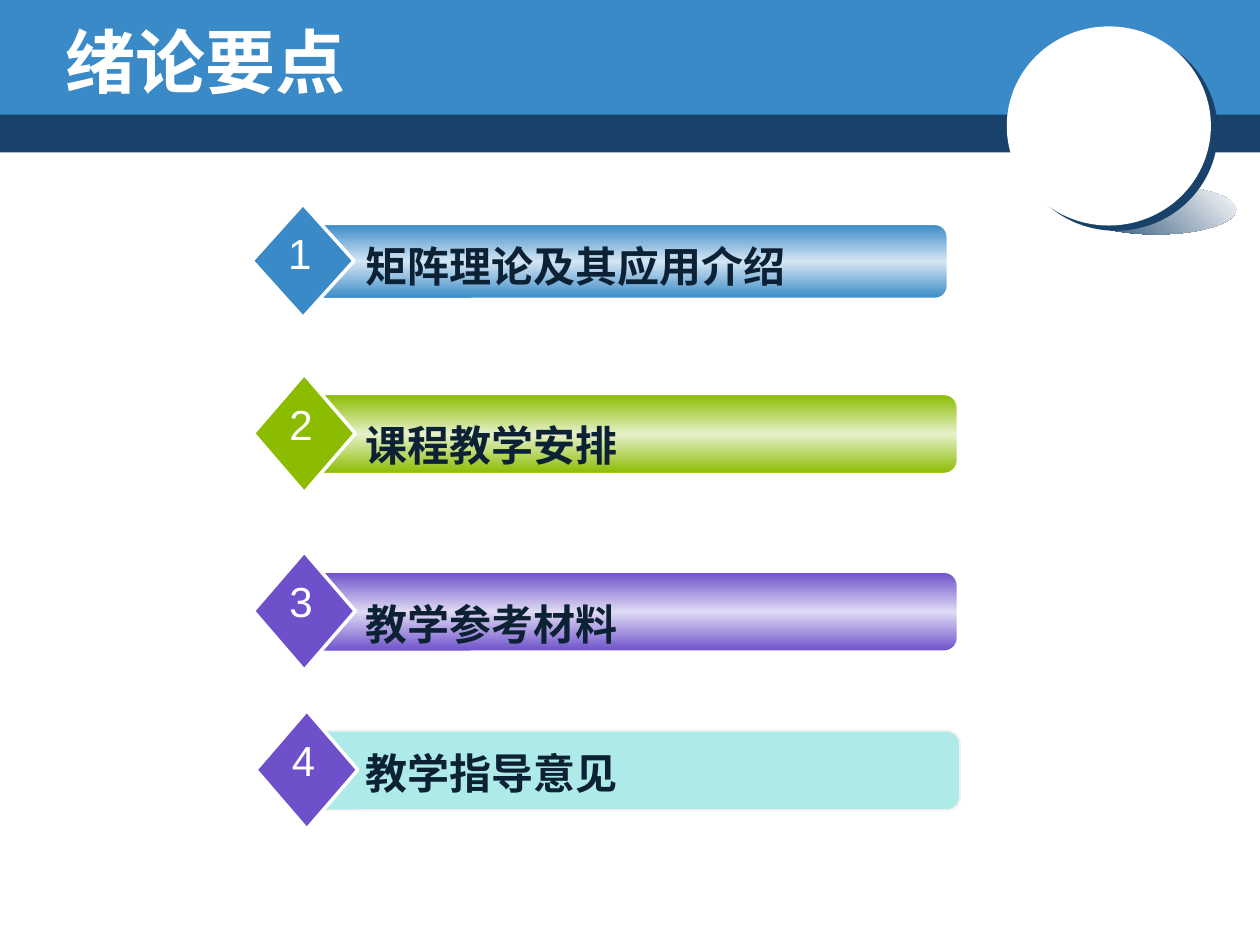
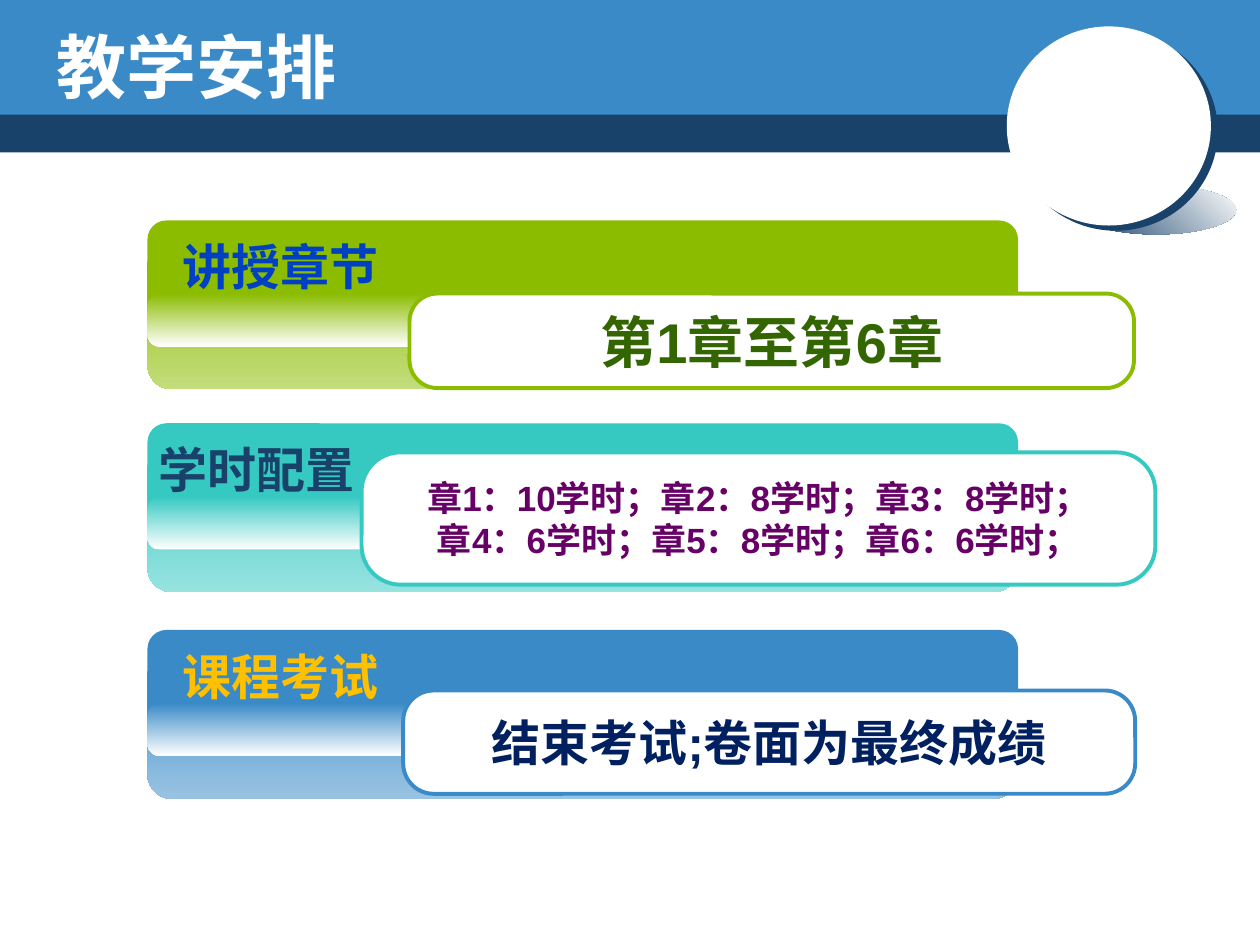
from lxml import etree
from pptx import Presentation
from pptx.dml.color import RGBColor
from pptx.enum import shapes, text
from pptx.oxml.ns import qn
from pptx.util import Inches, Pt

BLUE, NAVY, WHITE = "398AC7", "19426B", "FFFFFF"
GREEN, TEAL, PURPLE = "8BBC00", "35C9C2", "6D50CA"
PALE_TEAL, PALE_GRAY, INK = "AEEAE7", "F2F2F2", "0D2135"

TOPICS = [
    ("矩阵理论及其应用介绍", 2.45, 1.78, 5.07, 0.59, 1.86, BLUE, [BLUE, "D5E6F3", BLUE], WHITE),
    ("课程教学安排", 2.46, 3.13, 5.14, 0.63, 3.28, GREEN, [GREEN, "E6F1C9", GREEN], WHITE),
    ("教学参考材料", 2.46, 4.54, 5.14, 0.63, 4.7, PURPLE, [PURPLE, "E0DAF4", PURPLE], WHITE),
    ("教学指导意见", 2.48, 5.8, 5.14, 0.63, 5.88, PURPLE, [PALE_TEAL], PALE_GRAY),
]

PANELS = [
    (1.75, GREEN, "C3DD7C"),
    (3.36, TEAL, "97E3E0"),
    (5.0, BLUE, "99C3E2"),
]
HEADINGS = [
    ("讲授章节", 1.35, "0041C4"),
    ("学时配置", 1.16, NAVY),
    ("课程考试", 1.35, "FFC000"),
]
DETAILS = [
    ("第1章至第6章", (3.25, 2.33, 5.75, 0.75), 32, "336600"),
    ("章1：10学时；章2：8学时；章3：8学时；\n章4：6学时；章5：8学时；章6：6学时；",
     (2.87, 3.59, 6.3, 1.05), 20, "660066"),
    ("结束考试;卷面为最终成绩", (3.2, 5.48, 5.81, 0.82), 28, "002060"),
]


def rgb(value):
    return RGBColor.from_string(value)


def inches(place):
    return [Inches(length) for length in place]


class Lecture:
    font = "Arial"
    title_font = "DejaVu Sans"

    def __init__(self):
        self.deck = Presentation()
        self.deck.slide_width, self.deck.slide_height = Inches(10), Inches(7.5)
        self.layout = self.deck.slide_layouts[5]
        self.page = None

    def add_page(self, title, left, top):
        self.page = self.deck.slides.add_slide(self.layout)
        box = self.page.shapes.title
        box.left, box.top, box.width, box.height = inches((left, top, 8.08, 0.62))
        self.set_words(box, title, 40, WHITE, font=self.title_font, bold=True,
                       anchor=text.MSO_ANCHOR.MIDDLE)

    def set_words(self, box, words, size, color, font=None, bold=False, wrap=True,
                  align=text.PP_ALIGN.LEFT, anchor=text.MSO_ANCHOR.TOP):
        frame = box.text_frame
        frame.text = words
        frame.word_wrap = wrap
        frame.auto_size = text.MSO_AUTO_SIZE.NONE
        frame.vertical_anchor = anchor
        for para in frame.paragraphs:
            para.alignment = align
            for span in para.runs:
                span.font.name = font or self.font
                span.font.size = Pt(size)
                span.font.bold = bold
                span.font.color.rgb = rgb(color)

    def label(self, words, place, size, color, **style):
        box = self.page.shapes.add_textbox(*inches(place))
        self.set_words(box, words, size, color, **style)

    def shape(self, kind, place, colors, angle=270, line=None, width=1, corner=None):
        shape = self.page.shapes.add_shape(kind, *inches(place))
        shape.shadow.inherit = False
        if corner is not None:
            shape.adjustments[0] = corner
        if len(colors) == 1:
            shape.fill.solid()
            shape.fill.fore_color.rgb = rgb(colors[0])
        else:
            self.blend(shape, colors, angle)
        if line:
            shape.line.color.rgb = rgb(line)
            shape.line.width = Pt(width)
        else:
            shape.line.fill.background()
        return shape

    def rounded(self, place, colors, corner=0.167, **style):
        return self.shape(shapes.MSO_SHAPE.ROUNDED_RECTANGLE, place, colors,
                          corner=corner, **style)

    def blend(self, shape, colors, angle):
        shape.fill.gradient()
        shape.fill.gradient_angle = angle
        stops = next(shape._element.iter(qn("a:gsLst")))
        for stop in list(stops):
            stops.remove(stop)
        for index, color in enumerate(colors):
            position = 100000 * index // (len(colors) - 1)
            stop = etree.SubElement(stops, qn("a:gs"), pos=str(position))
            etree.SubElement(stop, qn("a:srgbClr"), val=color)

    def cast_shadow(self, shape, color, distance, degrees):
        effects = next(shape._element.iter(qn("a:effectLst")))
        shadow = etree.SubElement(effects, qn("a:outerShdw"), blurRad="0",
                                  dist=str(Pt(distance)), dir=str(degrees * 60000),
                                  algn="ctr", rotWithShape="0")
        etree.SubElement(shadow, qn("a:srgbClr"), val=color)

    def move_to_layout(self, items):
        tree = self.layout.shapes._spTree
        for index, item in enumerate(items):
            next(item._element.iter(qn("p:cNvPr"))).set("id", str(100 + index))
            tree.insert(2 + index, item._element)

    def add_header(self):
        stripe = self.shape(shapes.MSO_SHAPE.RECTANGLE, (0, 0.87, 10, 0.34), [NAVY])
        band = self.shape(shapes.MSO_SHAPE.RECTANGLE, (0, 0, 10, 0.91), [BLUE])
        shade = self.shape(shapes.MSO_SHAPE.OVAL, (8.54, 1.47, 1.27, 0.39),
                           [NAVY, WHITE], angle=45)
        disc = self.shape(shapes.MSO_SHAPE.OVAL, (7.99, 0.21, 1.62, 1.58), [WHITE])
        self.cast_shadow(disc, NAVY, 5, 37)
        self.move_to_layout([stripe, band, shade, disc])

    def add_topic(self, number, topic):
        words, left, top, width, height, label_top, color, fill, line = topic
        self.rounded((left, top, width, height), fill, line=line)
        diamond_left, diamond_top = left - 0.45, top - 0.16
        self.shape(shapes.MSO_SHAPE.DIAMOND,
                   (diamond_left, diamond_top, 0.81, height + 0.31),
                   [color], line=WHITE, width=2)
        self.label(str(number), (diamond_left + 0.18, diamond_top + 0.14, 0.4, 0.5),
                   24, WHITE, align=text.PP_ALIGN.CENTER)
        self.label(words, (2.8, label_top, 4.7, 0.5), 24, INK, bold=True)

    def add_panel(self, top, color, pale):
        left, width = 1.17, 6.91
        self.rounded((left, top + 0.17, width, 1.17), [color, pale])
        self.rounded((left, top, width, 0.9), [color])
        self.rounded((left, top + 0.58, width, 0.42), [color, WHITE], corner=0.237)

    def add_detail(self, words, place, size, color, line):
        box = self.rounded(place, [WHITE], corner=0.295, line=line, width=2.25)
        self.set_words(box, words, size, color, bold=True, wrap=False,
                       align=text.PP_ALIGN.CENTER, anchor=text.MSO_ANCHOR.MIDDLE)


def main():
    lecture = Lecture()
    lecture.add_page("绪论要点", 0.42, 0.17)
    lecture.add_header()
    for number, topic in enumerate(TOPICS, 1):
        lecture.add_topic(number, topic)

    lecture.add_page("教学安排", 0.35, 0.21)
    for panel, heading, detail in zip(PANELS, HEADINGS, DETAILS):
        top, color, _ = panel
        words, left, ink = heading
        lecture.add_panel(*panel)
        lecture.label(words, (left, top + 0.08, 1.75, 0.57), 28, ink,
                      bold=True, wrap=False)
        lecture.add_detail(*detail, line=color)
    lecture.deck.save("out.pptx")


if __name__ == "__main__":
    main()
